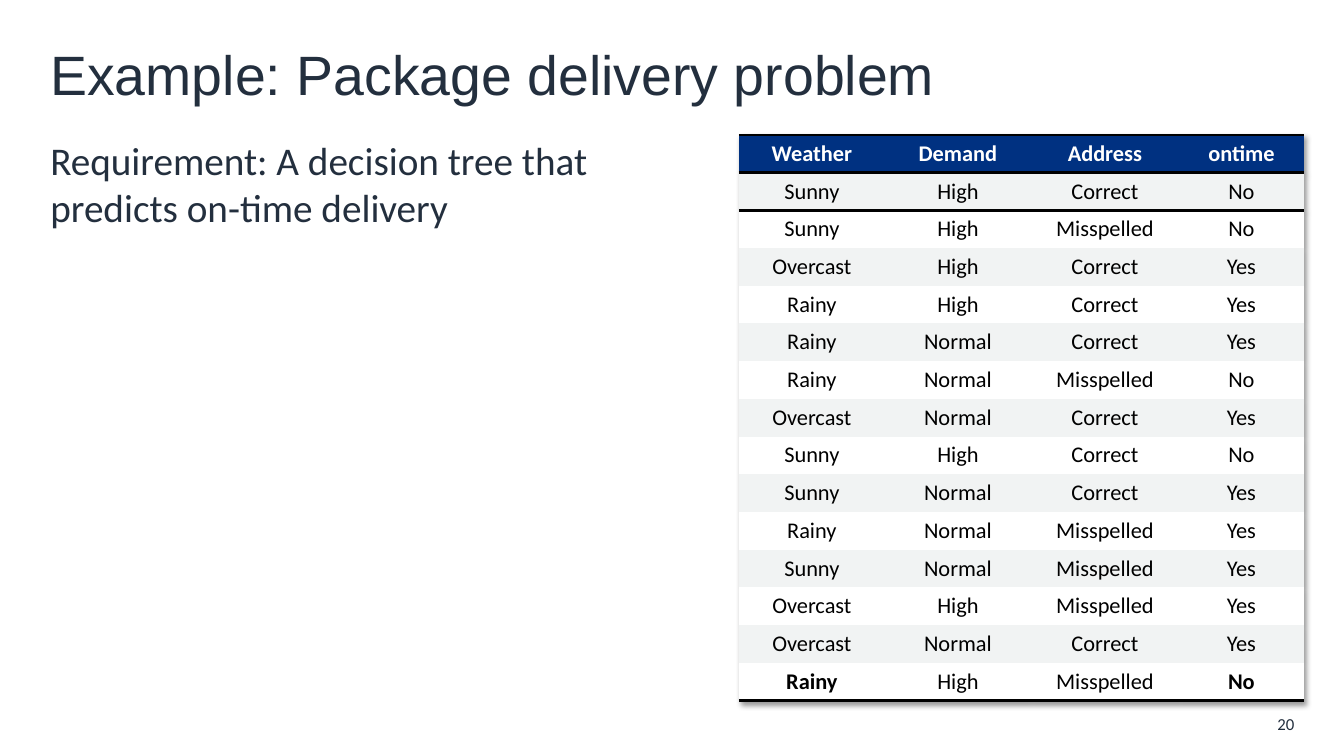
from dataclasses import dataclass
from typing import NamedTuple

from lxml.etree import SubElement
from pptx import Presentation
from pptx.dml.color import RGBColor
from pptx.enum.text import MSO_ANCHOR, PP_ALIGN
from pptx.oxml import parse_xml
from pptx.oxml.ns import nsdecls, qn
from pptx.slide import Slide
from pptx.table import _Cell
from pptx.text.text import TextFrame
from pptx.util import Cm, Pt


@dataclass(frozen=True)
class Theme:
    heading_font: str = "Arial"
    body_font: str = "Calibri"
    ink: str = "232F3E"
    header_fill: str = "003181"
    header_text: str = "FFFFFF"
    band_fill: str = "F1F3F3"
    plain_fill: str = "FFFFFF"
    black: str = "000000"
    title_size: float = 39.6
    body_size: float = 28
    table_size: float = 16
    number_size: float = 12
    rule_width: float = 2


class Box(NamedTuple):
    left: float
    top: float
    width: float
    height: float


class TextBlock(NamedTuple):
    text: str
    box: Box
    size: float
    font: str
    anchor: MSO_ANCHOR = MSO_ANCHOR.MIDDLE
    align: PP_ALIGN = PP_ALIGN.LEFT


THEME = Theme()

TEXT_BLOCKS = [
    TextBlock("20", Box(31.52, 17.91, 1.35, 0.64), THEME.number_size,
              THEME.body_font, align=PP_ALIGN.RIGHT),
    TextBlock("Example: Package delivery problem", Box(1.02, 0.84, 31.85, 2.03),
              THEME.title_size, THEME.heading_font),
    TextBlock("Requirement: A decision tree that predicts on-time delivery",
              Box(1.02, 3.3, 16.69, 14.56), THEME.body_size,
              THEME.body_font, MSO_ANCHOR.TOP),
]

TABLE_LEFT, TABLE_TOP = 18.62, 3.4
ROW_HEIGHT = 0.95
COLUMN_WIDTHS = [3.68, 3.68, 3.73, 3.15]
NO_STYLE = "{2D5ABB26-0587-4C30-8999-92F81FD0307C}"
DELIVERIES = [
    ("Weather", "Demand", "Address", "ontime"),
    ("Sunny", "High", "Correct", "No"),
    ("Sunny", "High", "Misspelled", "No"),
    ("Overcast", "High", "Correct", "Yes"),
    ("Rainy", "High", "Correct", "Yes"),
    ("Rainy", "Normal", "Correct", "Yes"),
    ("Rainy", "Normal", "Misspelled", "No"),
    ("Overcast", "Normal", "Correct", "Yes"),
    ("Sunny", "High", "Correct", "No"),
    ("Sunny", "Normal", "Correct", "Yes"),
    ("Rainy", "Normal", "Misspelled", "Yes"),
    ("Sunny", "Normal", "Misspelled", "Yes"),
    ("Overcast", "High", "Misspelled", "Yes"),
    ("Overcast", "Normal", "Correct", "Yes"),
    ("Rainy", "High", "Misspelled", "No"),
]


def write_text(frame: TextFrame, text: str, *, size: float, font: str,
               color: str, bold: bool = False,
               align: PP_ALIGN = PP_ALIGN.LEFT) -> None:
    paragraph = frame.paragraphs[0]
    paragraph.alignment = align
    run = paragraph.add_run()
    run.text = text
    run.font.size = Pt(size)
    run.font.name = font
    run.font.bold = bold
    run.font.color.rgb = RGBColor.from_string(color)


def add_text_block(slide: Slide, block: TextBlock) -> None:
    shape = slide.shapes.add_textbox(*(Cm(length) for length in block.box))
    frame = shape.text_frame
    frame.word_wrap = True
    frame.vertical_anchor = block.anchor
    write_text(frame, block.text, size=block.size, font=block.font,
               color=THEME.ink, align=block.align)


def add_rules(cell: _Cell, sides: list[str]) -> None:
    """Draw horizontal rules; border elements come before the cell fill."""
    properties = cell._tc.get_or_add_tcPr()
    for position, side in enumerate(sides):
        line = parse_xml(
            f'<a:{side} {nsdecls("a")} w="{Pt(THEME.rule_width)}"><a:solidFill>'
            f'<a:srgbClr val="{THEME.black}"/></a:solidFill></a:{side}>')
        properties.insert(position, line)


def add_delivery_table(slide: Slide) -> None:
    last_row, last_column = len(DELIVERIES) - 1, len(COLUMN_WIDTHS) - 1
    frame = slide.shapes.add_table(
        len(DELIVERIES), len(COLUMN_WIDTHS), Cm(TABLE_LEFT), Cm(TABLE_TOP),
        Cm(sum(COLUMN_WIDTHS)), Cm(ROW_HEIGHT * len(DELIVERIES)))
    table = frame.table
    table.horz_banding = False

    # Plain table style with a soft shadow
    properties = table._tbl.tblPr
    properties.find(qn("a:tableStyleId")).text = NO_STYLE
    effects = parse_xml(f'<a:effectLst {nsdecls("a")}/>')
    shadow = SubElement(effects, qn("a:outerShdw"), blurRad="50800",
                        dist="38100", dir="2700000", algn="tl", rotWithShape="0")
    color = SubElement(shadow, qn("a:srgbClr"), val=THEME.black)
    SubElement(color, qn("a:alpha"), val="40000")
    properties.insert(0, effects)

    for column, width in zip(table.columns, COLUMN_WIDTHS):
        column.width = Cm(width)

    # Cells: header, banded records, emphasised ends of the last record
    for row_index, record in enumerate(DELIVERIES):
        table.rows[row_index].height = Cm(ROW_HEIGHT)
        is_header, is_last = row_index == 0, row_index == last_row
        if is_header:
            fill, sides = THEME.header_fill, ["lnT", "lnB"]
        else:
            fill = THEME.band_fill if row_index % 2 else THEME.plain_fill
            sides = ["lnB"] if is_last else []
        if row_index == 1:
            sides = ["lnT"]
        for column_index, text in enumerate(record):
            cell = table.cell(row_index, column_index)
            cell.fill.solid()
            cell.fill.fore_color.rgb = RGBColor.from_string(fill)
            add_rules(cell, sides)
            write_text(cell.text_frame, text, size=THEME.table_size,
                       font=THEME.body_font, align=PP_ALIGN.CENTER,
                       color=THEME.header_text if is_header else THEME.black,
                       bold=is_header or (is_last and column_index in (0, last_column)))


def main() -> None:
    presentation = Presentation()
    presentation.slide_width, presentation.slide_height = Cm(33.87), Cm(19.05)
    slide = presentation.slides.add_slide(presentation.slide_layouts[6])
    for block in TEXT_BLOCKS:
        add_text_block(slide, block)
    add_delivery_table(slide)
    presentation.save("out.pptx")


if __name__ == "__main__":
    main()
